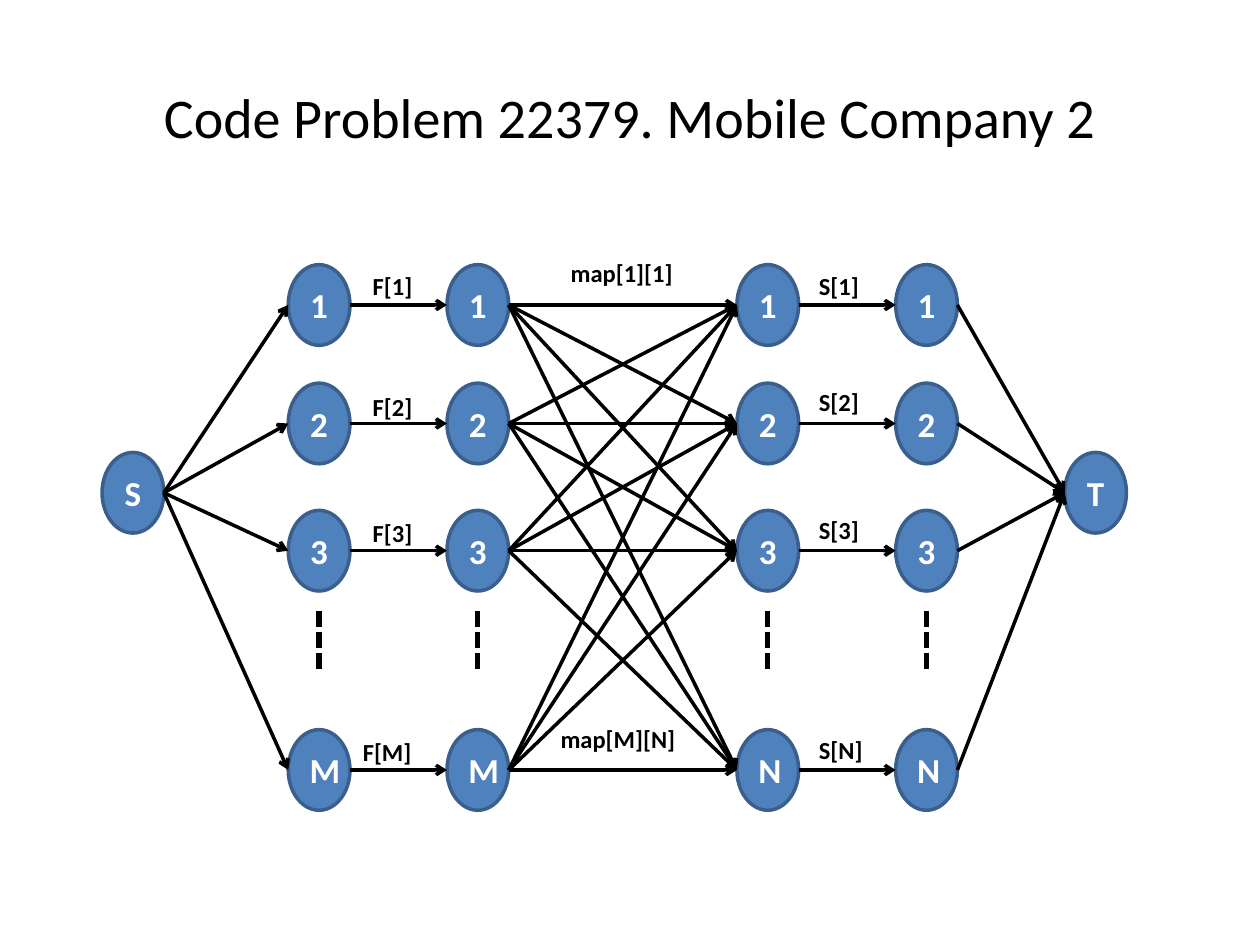
from itertools import product
from typing import NamedTuple

from lxml.etree import SubElement
from pptx import Presentation
from pptx.dml.color import RGBColor
from pptx.enum.dml import MSO_LINE
from pptx.enum.shapes import MSO_CONNECTOR, MSO_SHAPE
from pptx.enum.text import MSO_ANCHOR, MSO_AUTO_SIZE, PP_ALIGN
from pptx.oxml.ns import qn
from pptx.util import Pt

BLUE = RGBColor(0x4F, 0x81, 0xBD)
EDGE = RGBColor(0x3A, 0x5F, 0x8C)
BLACK = RGBColor(0, 0, 0)
WHITE = RGBColor(255, 255, 255)
FONT = "Calibri"
WIDE, HIGH = 35.3, 46.1
ROWS = (174.3, 242, 314.7, 440)
MID = 281.6


class Node(NamedTuple):
    """A circle, given by its left edge and its middle height."""
    name: str
    left: float
    y: float

    @property
    def right(self) -> float:
        """Return the right edge."""
        return self.left + WIDE


class Label(NamedTuple):
    """A caption beside an arrow."""
    text: str
    left: float
    top: float
    width: float


def style(frame, size: float, color: RGBColor, bold: bool) -> None:
    """Format every run of a text frame."""
    for para in frame.paragraphs:
        for run in para.runs:
            font = run.font
            font.name, font.size, font.bold = FONT, Pt(size), bold
            font.color.rgb = color


def draw_node(node: Node) -> None:
    """Draw a circle with its name."""
    oval = shapes.add_shape(MSO_SHAPE.OVAL, Pt(node.left), Pt(node.y - HIGH / 2),
                            Pt(WIDE), Pt(HIGH))
    oval.shadow.inherit = False
    oval.fill.solid()
    oval.fill.fore_color.rgb = BLUE
    oval.line.color.rgb = EDGE
    oval.line.width = Pt(2)
    frame = oval.text_frame
    frame.text = node.name
    frame.vertical_anchor = MSO_ANCHOR.MIDDLE
    frame.paragraphs[0].alignment = PP_ALIGN.CENTER
    style(frame, 20, WHITE, True)


def draw_line(x1: float, y1: float, x2: float, y2: float, width: float):
    """Draw a plain black line and return it."""
    line = shapes.add_connector(MSO_CONNECTOR.STRAIGHT, Pt(x1), Pt(y1), Pt(x2), Pt(y2))
    line.line.color.rgb = BLACK
    line.line.width = Pt(width)
    SubElement(line._element.spPr, qn("a:effectLst"))
    return line


def draw_arrow(start: Node, end: Node) -> None:
    """Draw an arrow from one node to the next."""
    line = draw_line(start.right, start.y, end.left, end.y, 2)
    tail = line.line._get_or_add_ln().makeelement(qn("a:tailEnd"), {"type": "arrow"})
    line.line._get_or_add_ln().append(tail)


def draw_dots(left: float) -> None:
    """Draw the dashes that stand for the nodes left out."""
    x = left + WIDE / 2
    draw_line(x, 349.2, x, 383, 3).line.dash_style = MSO_LINE.SQUARE_DOT


def draw_label(label: Label) -> None:
    """Draw a caption."""
    box = shapes.add_textbox(Pt(label.left), Pt(label.top), Pt(label.width), Pt(24.2))
    frame = box.text_frame
    frame.text = label.text
    frame.word_wrap = False
    frame.auto_size = MSO_AUTO_SIZE.SHAPE_TO_FIT_TEXT
    style(frame, 14, BLACK, True)


def draw_title(text: str) -> None:
    """Draw the heading."""
    box = shapes.add_textbox(Pt(36), Pt(21.6), Pt(648), Pt(90))
    frame = box.text_frame
    frame.text = text
    frame.word_wrap = True
    frame.vertical_anchor = MSO_ANCHOR.MIDDLE
    frame.paragraphs[0].alignment = PP_ALIGN.CENTER
    style(frame, 32, BLACK, False)


deck = Presentation()
deck.slide_width, deck.slide_height = Pt(720), Pt(540)
shapes = deck.slides.add_slide(deck.slide_layouts[6]).shapes

LANES = ((164.7, "123M"), (255.4, "123M"), (421.1, "123N"), (511.8, "123N"))
source = [Node("S", 58.3, MID)]
sink = [Node("T", 608.4, MID)]
lanes = [[Node(name, left, y) for name, y in zip(names, ROWS)]
         for left, names in LANES]
first, second, third, fourth = lanes

LABELS = (
    Label("F[1]", 205.9, 151.2, 39.6),
    Label("F[2]", 205.9, 220.3, 39.6),
    Label("F[3]", 205.9, 292.3, 39.6),
    Label("F[M]", 200.2, 417.6, 51.1),
    Label("S[1]", 460.8, 151.2, 39.6),
    Label("S[2]", 460.8, 217.4, 39.6),
    Label("S[3]", 460.8, 290.9, 39.6),
    Label("S[N]", 460.8, 416.2, 39.6),
    Label("map[1][1]", 319, 144, 79.2),
    Label("map[M][N]", 313.2, 410.4, 85),
)

draw_title("Code Problem 22379. Mobile Company 2")
for lane in (source, *lanes, sink):
    for node in lane:
        draw_node(node)
for left, _ in LANES:
    draw_dots(left)
for pairs in (product(source, first), zip(first, second), product(second, third),
              zip(third, fourth), product(fourth, sink)):
    for start, end in pairs:
        draw_arrow(start, end)
for label in LABELS:
    draw_label(label)

deck.save("out.pptx")
